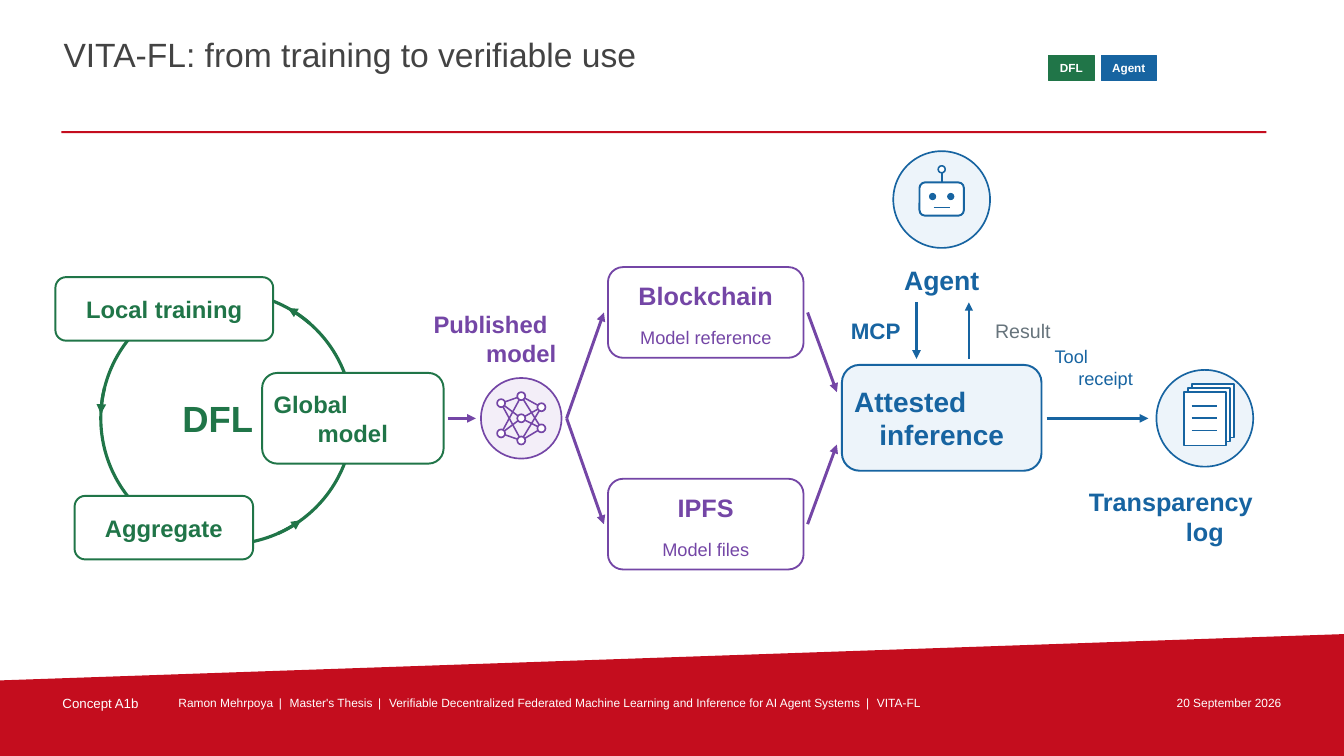
from dataclasses import dataclass
from itertools import pairwise, product
from math import cos, radians, sin

from lxml import etree
from pptx import Presentation
from pptx.dml.color import RGBColor
from pptx.enum import shapes, text
from pptx.oxml import ns
from pptx.util import Inches, Pt

COLORS = {
    "red": "C40D1E", "title": "434343", "white": "FFFFFF", "grey": "67747C",
    "green": "207548", "blue": "1764A1", "blue tint": "EDF4FA",
    "purple": "7446A6", "purple tint": "F3EEF8",
}
FONT = "Arial"
RECT = shapes.MSO_SHAPE.RECTANGLE
ROUND = shapes.MSO_SHAPE.ROUNDED_RECTANGLE
OVAL = shapes.MSO_SHAPE.OVAL
LEFT, CENTER, RIGHT = text.PP_ALIGN.LEFT, text.PP_ALIGN.CENTER, text.PP_ALIGN.RIGHT
TOP, MIDDLE = text.MSO_ANCHOR.TOP, text.MSO_ANCHOR.MIDDLE
RING_X, RING_Y, RING_RADIUS = 2.25, 4.15, 1.25


@dataclass
class Line:
    """One paragraph; before is the space above it in points."""
    words: str
    size: float
    color: str
    bold: bool = True
    align: text.PP_ALIGN = CENTER
    before: float = 0


@dataclass
class Box:
    left: float
    top: float
    width: float
    height: float
    lines: list[Line]
    fill: str = "white"
    line_width: float = 1.4
    kind: shapes.MSO_SHAPE = ROUND
    top_inset: float = 0


@dataclass
class Arrow:
    start: tuple[float, float]
    end: tuple[float, float]
    color: str
    width: float = 2.1


def stagger(first: str, second: str, size: float, color: str, bold: bool = True) -> list[Line]:
    """Two lines, the first flush left and the second centred."""
    return [Line(first, size, color, bold, LEFT), Line(second, size, color, bold)]


def rgb(name: str) -> RGBColor:
    return RGBColor.from_string(COLORS[name])


def add_run(paragraph, words: str, line: Line):
    run = paragraph.add_run()
    run.text = words
    run.font.name, run.font.size, run.font.bold = FONT, Pt(line.size), line.bold
    run.font.color.rgb = rgb(line.color)
    return run


def write(shape, lines: list[Line], inset: float = 0, anchor=MIDDLE) -> None:
    frame = shape.text_frame
    frame.word_wrap = True
    frame.vertical_anchor = anchor
    frame.margin_left = frame.margin_right = Inches(inset)
    frame.margin_top = frame.margin_bottom = Inches(inset if anchor == TOP else 0)
    for index, line in enumerate(lines):
        paragraph = frame.add_paragraph() if index else frame.paragraphs[0]
        paragraph.alignment = line.align
        if line.before:
            paragraph.space_before = Pt(line.before)
        add_run(paragraph, line.words, line)


def add_label(slide, left: float, top: float, width: float, height: float,
              lines: list[Line], inset: float = 0, anchor=MIDDLE):
    label = slide.shapes.add_textbox(Inches(left), Inches(top), Inches(width), Inches(height))
    write(label, lines, inset, anchor)
    return label


def paint(shape, fill: str, line: str | None, width: float = 1.2):
    shape.shadow.inherit = False
    shape.fill.solid()
    shape.fill.fore_color.rgb = rgb(fill)
    if line:
        shape.line.color.rgb = rgb(line)
        shape.line.width = Pt(width)
    else:
        shape.line.fill.background()
    return shape


def add_shape(slide, kind, left: float, top: float, width: float, height: float,
              fill: str, line: str | None, line_width: float = 1.2):
    shape = slide.shapes.add_shape(kind, Inches(left), Inches(top), Inches(width), Inches(height))
    return paint(shape, fill, line, line_width)


def add_circle(slide, x: float, y: float, size: float, fill: str, line: str, width: float = 1.2):
    return add_shape(slide, OVAL, x - size / 2, y - size / 2, size, size, fill, line, width)


def add_box(slide, box: Box) -> None:
    shape = add_shape(slide, box.kind, box.left, box.top, box.width, box.height,
                      box.fill, box.lines[0].color, box.line_width)
    write(shape, box.lines, inset=0.07 if box.kind == ROUND else 0)
    shape.text_frame.margin_top = Inches(box.top_inset)


def add_line(slide, start, end, color: str, width: float = 1.2, head: bool = False):
    connector = slide.shapes.add_connector(
        shapes.MSO_CONNECTOR.STRAIGHT, *(Inches(value) for value in (*start, *end)))
    connector.line.color.rgb = rgb(color)
    connector.line.width = Pt(width)
    if head:
        etree.SubElement(connector.line._get_or_add_ln(), ns.qn("a:tailEnd"), type="triangle")
    etree.SubElement(connector._element.spPr, ns.qn("a:effectLst"))
    return connector


def draw_frame(slide) -> None:
    """Red band, title, rule, footer and topic badges."""
    builder = slide.shapes.build_freeform(0, Inches(6.75), scale=1.0)
    corners = [(13.34, 6.29), (13.33, 7.5), (0, 7.5)]
    builder.add_line_segments([(Inches(x), Inches(y)) for x, y in corners], close=True)
    paint(builder.convert_to_shape(), "red", None)

    title = slide.shapes.title
    title.left, title.top, title.width, title.height = map(Inches, (0.61, 0.32, 9.65, 0.62))
    write(title, [Line("VITA-FL: from training to verifiable use", 24, "title", False, LEFT)],
          0.02, TOP)
    add_shape(slide, RECT, 0.61, 1.3, 11.95, 0.02, "red", None)

    add_label(slide, 0.6, 6.88, 1, 0.22,
              [Line("Concept A1b", 9.5, "white", False, LEFT)], 0.02, TOP)
    parts = ["Ramon Mehrpoya", "Master's Thesis",
             "Verifiable Decentralized Federated Machine Learning and Inference for AI Agent Systems",
             "VITA-FL"]
    style = Line(parts[0], 8.5, "white", False, LEFT)
    credit = add_label(slide, 1.75, 6.88, 9.35, 0.22, [style], 0.02, TOP)
    for part in parts[1:]:
        separator = add_run(credit.text_frame.paragraphs[0], " | ", style)
        separator.font._element.set("spc", "158")
        add_run(credit.text_frame.paragraphs[0], part, style)
    add_label(slide, 11.2, 6.88, 1.53, 0.22,
              [Line("20 September 2026", 8.5, "white", False, RIGHT)], 0.02, TOP)

    for left, width, topic, color in [(10.4, 0.45, "DFL", "green"), (10.92, 0.55, "Agent", "blue")]:
        badge = add_shape(slide, RECT, left, 0.55, width, 0.25, color, color, 0.55)
        write(badge, [Line(topic, 8.4, "white")])


def draw_training_ring(slide) -> None:
    add_circle(slide, RING_X, RING_Y, 2 * RING_RADIUS, "white", "green", 2.25)
    steps, step_angle = 8, 1.5
    for start_angle in (194, 66, -49):
        angles = [radians(start_angle - step_angle * step) for step in range(steps + 1)]
        points = [(RING_X + RING_RADIUS * cos(a), RING_Y + RING_RADIUS * sin(a)) for a in angles]
        for step, (start, end) in enumerate(pairwise(points), 1):
            add_line(slide, start, end, "green", 2.3, head=step == steps)


def draw_model_icon(slide) -> None:
    add_circle(slide, 5.17, 4.15, 0.8, "purple tint", "purple")
    layers = [[(4.97, 4.0), (4.97, 4.3)],
              [(5.17, 3.93), (5.17, 4.15), (5.17, 4.37)],
              [(5.37, 4.04), (5.37, 4.25)]]
    for layer, following in pairwise(layers):
        for start, end in product(layer, following):
            add_line(slide, start, end, "purple", 1.1)
    for x, y in sum(layers, []):
        add_circle(slide, x, y, 0.08, "white", "purple")


def draw_agent_icon(slide) -> None:
    add_circle(slide, 9.34, 1.98, 0.96, "blue tint", "blue")
    head = add_shape(slide, ROUND, 9.12, 1.81, 0.44, 0.33, "white", "blue", 1.4)
    for eye_x in (9.25, 9.43):
        add_circle(slide, eye_x, 1.95, 0.06, "blue", "blue", 0.8)
    add_line(slide, (9.26, 2.06), (9.42, 2.06), "blue")
    antenna = add_line(slide, (9.34, 1.81), (9.34, 1.72), "blue")
    antenna.begin_connect(head, 0)
    add_circle(slide, 9.34, 1.68, 0.07, "white", "blue", 1.1)


def draw_log_icon(slide) -> None:
    add_circle(slide, 11.95, 4.15, 0.96, "blue tint", "blue")
    for offset in (0.08, 0.04, 0):
        add_shape(slide, RECT, 11.74 + offset, 3.89 - offset, 0.42, 0.53, "white", "blue")
    for y in (4.03, 4.15, 4.27):
        add_line(slide, (11.82, y), (12.07, y), "blue")


def card(top: float, name: str, detail: str) -> Box:
    lines = [Line(name, 18, "purple"), Line(detail, 13, "purple", False, before=11)]
    return Box(6.03, top, 1.94, 0.9, lines, line_width=1.3, top_inset=0.04)


BOXES = [
    Box(0.55, 2.75, 2.16, 0.63, [Line("Local training", 17, "green")]),
    Box(0.74, 4.92, 1.77, 0.63, [Line("Aggregate", 17, "green")]),
    Box(2.6, 3.7, 1.8, 0.9, stagger("Global", "model", 17, "green")),
    card(2.65, "Blockchain", "Model reference"),
    card(4.75, "IPFS", "Model files"),
    Box(8.35, 3.62, 1.98, 1.05, stagger("Attested", "inference", 20, "blue"), "blue tint"),
]
LABELS = [
    (1.49, 3.9, 1.34, 0.5, [Line("DFL", 26, "green")]),
    (4.3, 3, 1.74, 0.72, stagger("Published", "model", 17, "purple")),
    (8.19, 2.59, 2.3, 0.38, [Line("Agent", 19, "blue")]),
    (8.36, 3.13, 0.65, 0.3, [Line("MCP", 16, "blue")]),
    (9.75, 3.13, 0.79, 0.3, [Line("Result", 14, "grey", False)]),
    (10.46, 3.31, 1.01, 0.67, stagger("Tool", "receipt", 13, "blue", False)),
    (10.8, 4.76, 2.3, 0.72, stagger("Transparency", "log", 18, "blue")),
]
ARROWS = [
    Arrow((4.44, 4.15), (4.72, 4.15), "purple"),
    Arrow((5.62, 4.15), (5.99, 3.1), "purple"),
    Arrow((5.62, 4.15), (5.99, 5.2), "purple"),
    Arrow((8.01, 3.1), (8.3, 3.89), "purple"),
    Arrow((8.01, 5.2), (8.3, 4.41), "purple"),
    Arrow((9.09, 3), (9.09, 3.56), "blue"),
    Arrow((9.61, 3.56), (9.61, 3), "blue", 1.5),
    Arrow((10.38, 4.15), (11.39, 4.15), "blue"),
]


def main() -> None:
    presentation = Presentation()
    presentation.slide_width, presentation.slide_height = Inches(13.33), Inches(7.5)
    slide = presentation.slides.add_slide(presentation.slide_layouts.get_by_name("Title Only"))
    draw_frame(slide)
    draw_training_ring(slide)
    for box in BOXES:
        add_box(slide, box)
    for draw_icon in (draw_model_icon, draw_agent_icon, draw_log_icon):
        draw_icon(slide)
    for arrow in ARROWS:
        add_line(slide, arrow.start, arrow.end, arrow.color, arrow.width, head=True)
    for label in LABELS:
        add_label(slide, *label)
    presentation.save("out.pptx")


if __name__ == "__main__":
    main()
